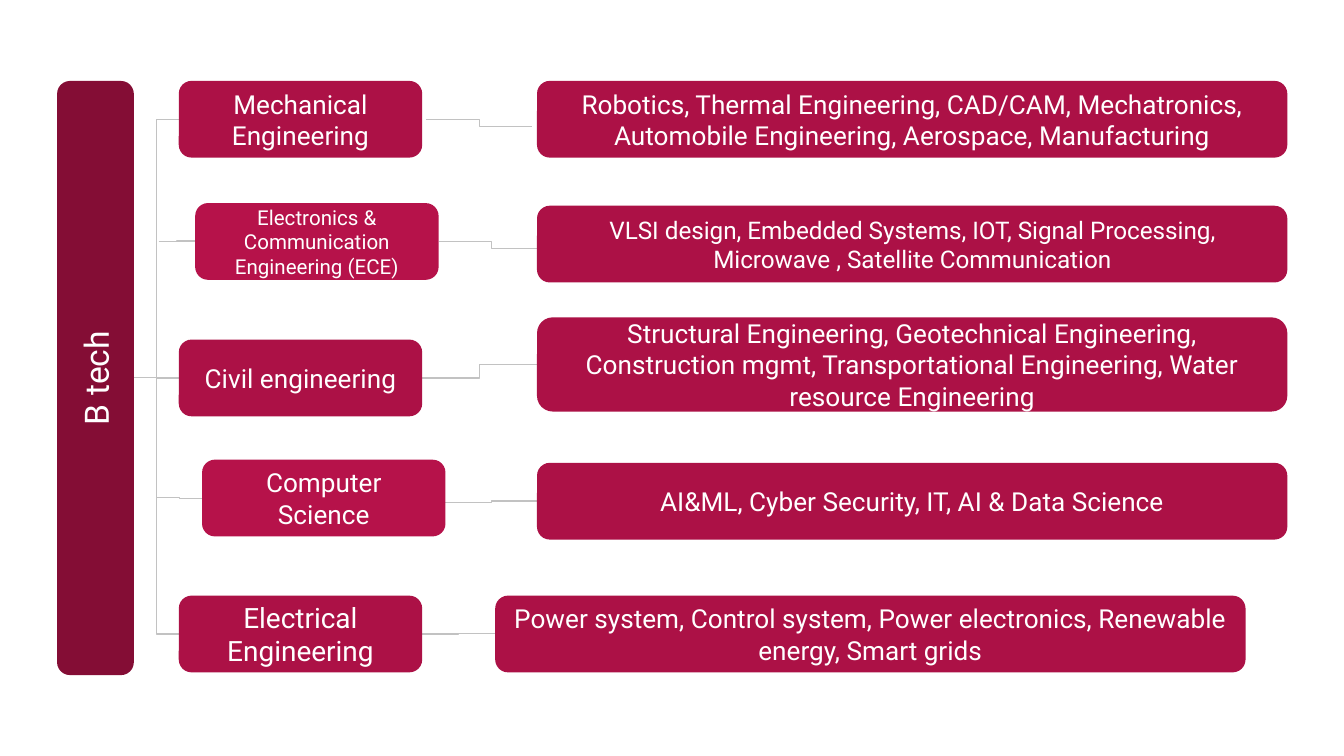
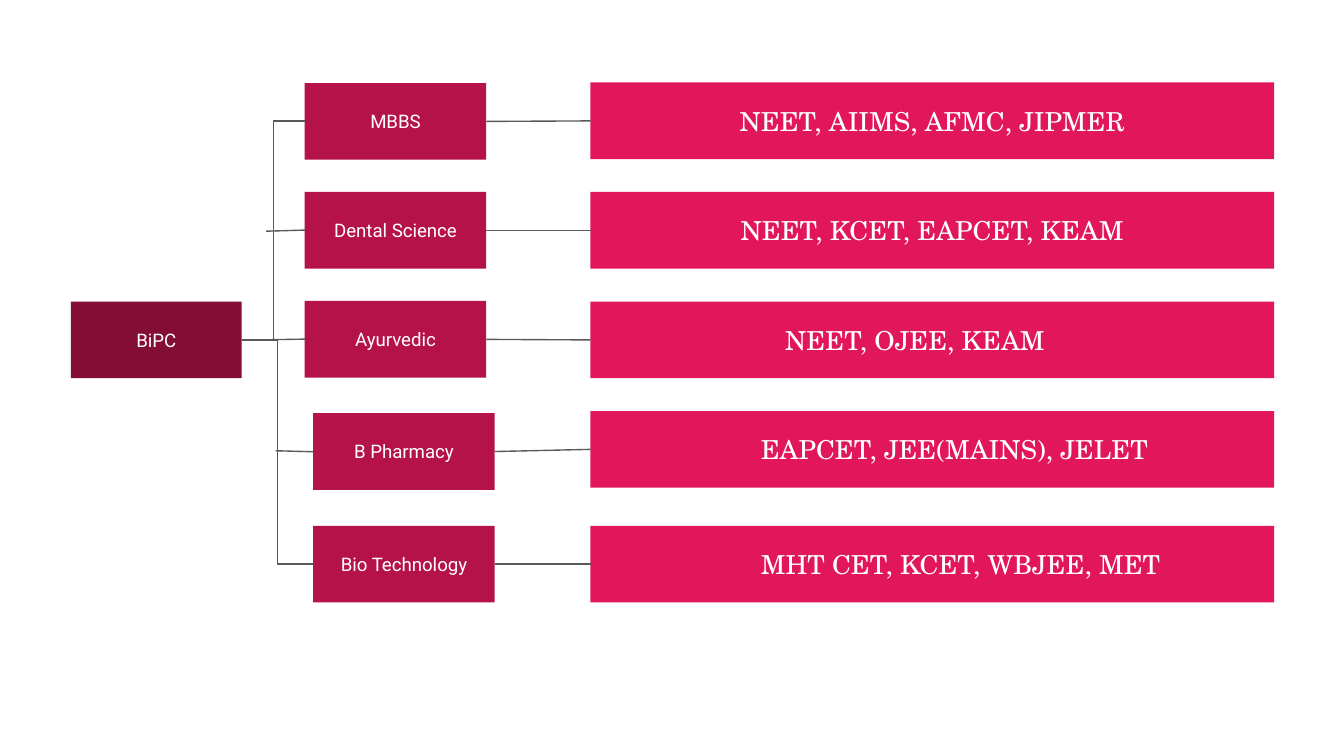
from pptx import Presentation
from pptx.dml.color import RGBColor
from pptx.enum.shapes import MSO_CONNECTOR, MSO_SHAPE
from pptx.enum.text import MSO_ANCHOR, PP_ALIGN
from pptx.oxml.ns import qn
from pptx.util import Cm, Pt
from lxml.etree import SubElement

MAROON, CRIMSON, RASPBERRY, PINK = "840D35", "AC1146", "B6124A", "E1165B"
WHITE, LIGHT_GREY, DARK_GREY = "FFFFFF", "C2C2C2", "595959"
SANS, SERIF = "Roboto", "TeX Gyre Schola"
BOX_HEIGHT = 1.45
HALF = BOX_HEIGHT / 2

# Branch: name, size, left, top, fill; detail: text, size, left, top, height;
# link between them: start x, end x, end y
ENGINEERING = [
    (("Mechanical Engineering", 14, 3.38, 1.53, CRIMSON),
     ("Robotics, Thermal Engineering, CAD/CAM, Mechatronics, "
      "Automobile Engineering, Aerospace, Manufacturing", 14, 10.15, 1.53, BOX_HEIGHT),
     (8.06, 10.06, 2.39)),
    (("Electronics & Communication Engineering (ECE)", 11, 3.69, 3.84, RASPBERRY),
     ("VLSI design, Embedded Systems, IOT, Signal Processing, "
      "Microwave , Satellite Communication", 13, 10.15, 3.89, BOX_HEIGHT),
     (8.3, 10.29, 4.7)),
    (("Civil engineering", 14, 3.38, 6.42, CRIMSON),
     ("Structural Engineering, Geotechnical Engineering, Construction mgmt, "
      "Transportational Engineering, Water resource Engineering", 14, 10.15, 6, 1.78),
     (7.98, 10.15, 6.89)),
    (("Computer Science", 14, 3.82, 8.69, RASPBERRY),
     ("AI&ML, Cyber Security, IT, AI & Data Science", 14, 10.15, 8.75, BOX_HEIGHT),
     (8.42, 10.15, 9.47)),
    (("Electrical Engineering", 15, 3.38, 11.26, CRIMSON),
     ("Power system, Control system, Power electronics, "
      "Renewable energy, Smart grids", 14, 9.36, 11.26, BOX_HEIGHT),
     (7.98, 9.36, 11.98)),
]

# Course, left, top, entrance exams, exams top, exams indent (None: centred)
MEDICAL = [
    ("MBBS", 5.76, 1.57, "NEET, AIIMS, AFMC, JIPMER", 1.56, None),
    ("Dental Science", 5.76, 3.63, "NEET, KCET, EAPCET, KEAM", 3.63, None),
    ("Ayurvedic", 5.76, 5.69, "NEET, OJEE, KEAM", 5.7, 3.43),
    ("B Pharmacy", 5.92, 7.81, "EAPCET, JEE(MAINS), JELET", 7.77, 2.97),
    ("Bio Technology", 5.92, 9.94, "MHT CET, KCET, WBJEE, MET", 9.94, 2.97),
]


def color(hex_string):
    return RGBColor.from_string(hex_string)


def add_box(slide, kind, left, top, width, height, fill, text, size,
            font=SANS, indent=None):
    """Add a filled box; its text is centred unless a left indent is given."""
    shape = slide.shapes.add_shape(kind, Cm(left), Cm(top), Cm(width), Cm(height))
    shape.shadow.inherit = False
    shape.fill.solid()
    shape.fill.fore_color.rgb = color(fill)
    shape.line.fill.background()
    frame = shape.text_frame
    frame.word_wrap = True
    frame.vertical_anchor = MSO_ANCHOR.MIDDLE
    frame.margin_left = frame.margin_right = Cm(0.25)
    frame.margin_top = frame.margin_bottom = Cm(0.25)
    paragraph = frame.paragraphs[0]
    paragraph.text = text
    if indent is None:
        paragraph.alignment = PP_ALIGN.CENTER
    else:
        paragraph.alignment = PP_ALIGN.LEFT
        paragraph._p.get_or_add_pPr().set("marL", str(Cm(indent)))
    paragraph.font.name = font
    paragraph.font.size = Pt(size)
    paragraph.font.color.rgb = color(WHITE)
    return shape


def add_link(slide, kind, start, end, line_color):
    connector = slide.shapes.add_connector(kind, *map(Cm, start + end))
    connector.line.color.rgb = color(line_color)
    connector.line.width = Pt(0.75)
    SubElement(connector._element.spPr, qn("a:effectLst"))


def add_engineering_slide(slide):
    def elbow(start, end):
        add_link(slide, MSO_CONNECTOR.ELBOW, start, end, LIGHT_GREY)

    def rounded(*arguments):
        return add_box(slide, MSO_SHAPE.ROUNDED_RECTANGLE, *arguments)

    trunk = (2.54, 7.14)
    for top in (1.53, 6.42, 11.26):
        elbow(trunk, (3.38, top + HALF))
    elbow((3, 4.57), (3.69, 4.56))
    elbow((2.97, 9.4), (3.82, 9.42))
    root = rounded(-3.81, 6.42, 11.23, BOX_HEIGHT, MAROON, "B tech", 18)
    root.rotation = 270

    for branch, detail, (start_x, end_x, end_y) in ENGINEERING:
        name, size, left, top, fill = branch
        start_y = 9.5 if name == "Computer Science" else top + HALF
        elbow((start_x, start_y), (end_x, end_y))
        rounded(left, top, 4.6, BOX_HEIGHT, fill, name, size)
        text, size, left, top, height = detail
        rounded(left, top, 14.18, height, CRIMSON, text, size)


def add_medical_slide(slide):
    def link(kind, start, end):
        add_link(slide, kind, start, end, DARK_GREY)

    def rectangle(*arguments, **options):
        add_box(slide, MSO_SHAPE.RECTANGLE, *arguments, **options)

    course_width, exams_left = 3.43, 11.16
    trunk = (4.57, 6.43)
    rectangle(1.34, 5.7, 3.23, BOX_HEIGHT, MAROON, "BiPC", 10)
    for course, left, top, exams, exams_top, indent in MEDICAL:
        rectangle(left, top, course_width, BOX_HEIGHT, RASPBERRY, course, 10)
        rectangle(exams_left, exams_top, 12.92, BOX_HEIGHT, PINK, exams, 14,
                  font=SERIF, indent=indent)
        link(MSO_CONNECTOR.STRAIGHT, (left + course_width, top + HALF),
             (exams_left, exams_top + HALF))

    link(MSO_CONNECTOR.ELBOW, trunk, (5.76, 2.29))
    link(MSO_CONNECTOR.ELBOW, (5.92, 10.66), trunk)
    link(MSO_CONNECTOR.STRAIGHT, (5.76, 4.35), (5.03, 4.37))
    link(MSO_CONNECTOR.STRAIGHT, (5.76, 6.41), trunk)
    link(MSO_CONNECTOR.STRAIGHT, (5.92, 8.54), (5.21, 8.52))


def main():
    presentation = Presentation()
    presentation.slide_width, presentation.slide_height = Cm(25.4), Cm(14.29)
    for build in (add_engineering_slide, add_medical_slide):
        build(presentation.slides.add_slide(presentation.slide_layouts[6]))
    presentation.save("out.pptx")


if __name__ == "__main__":
    main()
